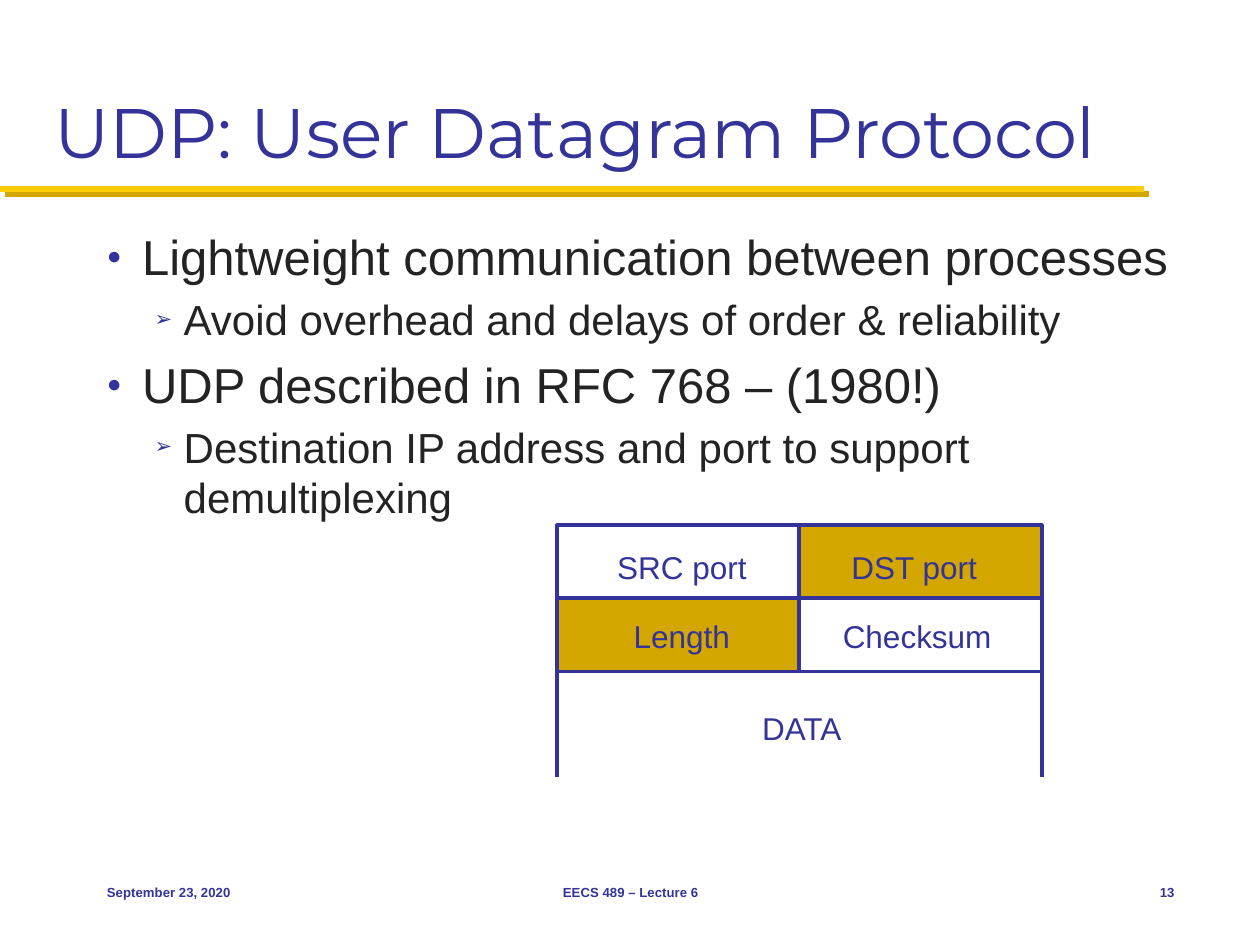
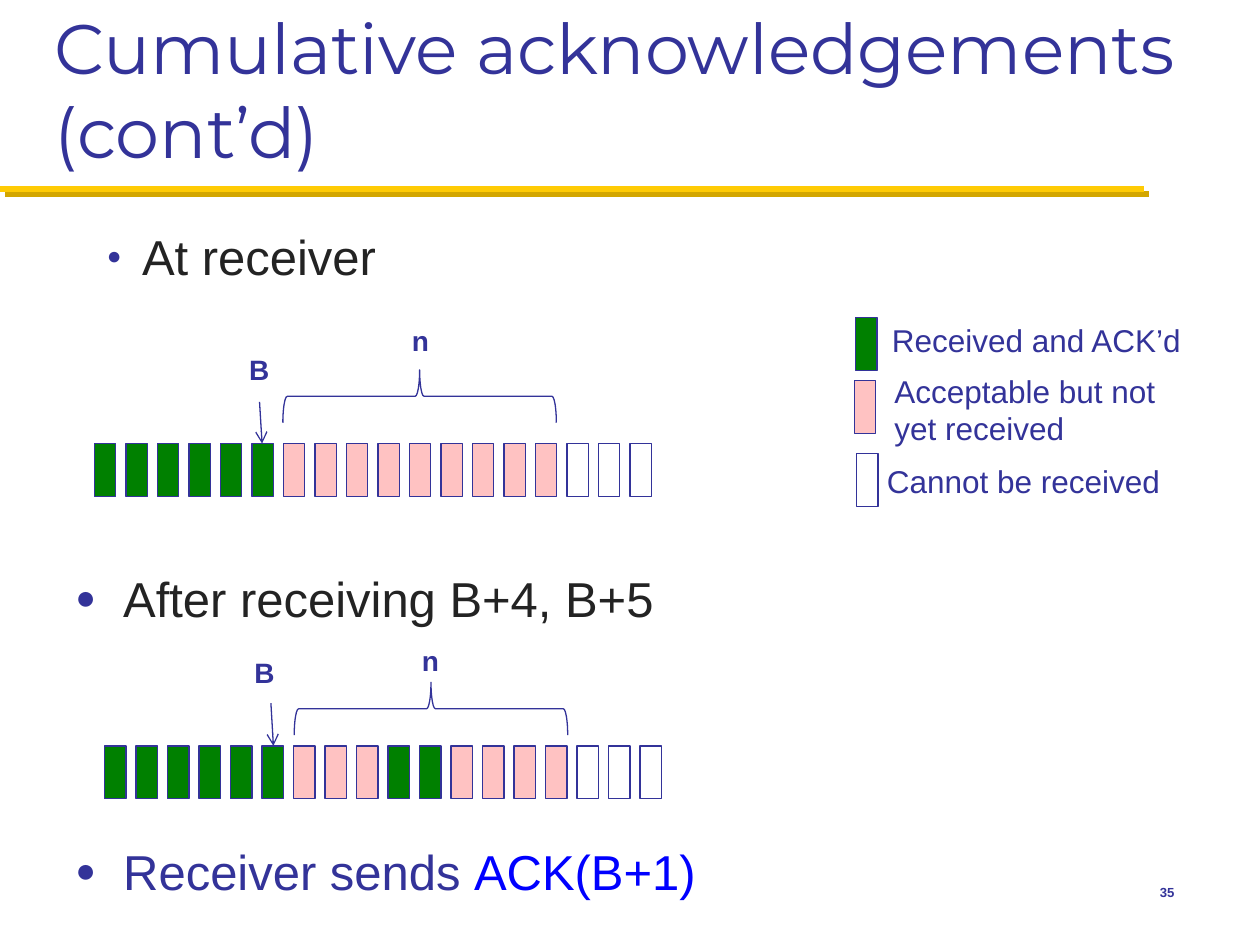
from lxml.etree import SubElement
from pptx import Presentation
from pptx.dml.color import RGBColor
from pptx.enum.shapes import MSO_CONNECTOR, MSO_SHAPE
from pptx.enum.text import MSO_ANCHOR, MSO_AUTO_SIZE, PP_ALIGN
from pptx.oxml.ns import qn
from pptx.util import Inches, Pt

NAVY, INK, BLUE = "333399", "232323", "0000FF"
YELLOW, GOLD = "FFCB05", "D3A600"
GREEN, PINK, WHITE = "008000", "FFC2C2", "FFFFFF"
PACKET_WIDTH, PACKET_HEIGHT, PACKET_STEP = 0.17, 0.42, 0.25
PACKET_FILLS = {"R": GREEN, "A": PINK, "C": WHITE}


def colour(hex_string):
    return RGBColor.from_string(hex_string)


def write(paragraph, text, size=18, color=NAVY, font="Arial", bold=False, align=PP_ALIGN.LEFT):
    paragraph.alignment = align
    run = paragraph.add_run()
    run.text = text
    run.font.size = Pt(size)
    run.font.name = font
    run.font.bold = bold
    run.font.color.rgb = colour(color)


def add_bullet(paragraph, char, indent, hanging, percent):
    properties = paragraph._p.get_or_add_pPr()
    properties.set("marL", str(Inches(indent)))
    properties.set("indent", str(-Inches(hanging)))
    tint = SubElement(properties, qn("a:buClr"))
    SubElement(tint, qn("a:srgbClr"), val=NAVY)
    SubElement(properties, qn("a:buSzPct"), val=str(percent * 1000))
    SubElement(properties, qn("a:buFont"), typeface="Arial")
    SubElement(properties, qn("a:buChar"), char=char)


class Deck:
    """Holds the lecture style and the slide being built."""

    def __init__(self):
        self.presentation = Presentation()
        self.presentation.slide_width = Inches(10)
        self.presentation.slide_height = Inches(7.5)
        self.slide = None

    def start_slide(self, title, number):
        self.slide = self.presentation.slides.add_slide(self.presentation.slide_layouts[5])
        self.line((0.04, 1.54), (9.12, 1.54), GOLD, 3.5)
        self.line((0, 1.5), (9.08, 1.5), YELLOW, 3.5)
        heading = self.slide.shapes.title
        heading.left, heading.top = Inches(0.33), Inches(0.17)
        heading.width, heading.height = Inches(9.33), Inches(1.25)
        frame = heading.text_frame
        frame.auto_size = MSO_AUTO_SIZE.NONE
        frame.vertical_anchor = MSO_ANCHOR.BOTTOM
        write(frame.paragraphs[0], title, size=40, font="Montserrat")
        self.footer(number, 8.75, 0.67, PP_ALIGN.RIGHT)

    def frame(self, left, top, width, height, wrap=True):
        box = self.slide.shapes.add_textbox(Inches(left), Inches(top), Inches(width), Inches(height))
        box.text_frame.word_wrap = wrap
        return box.text_frame

    def label(self, text, left, top, width, height=0.4, wrap=False, **style):
        frame = self.frame(left, top, width, height, wrap)
        for index, row in enumerate(text.split("\n")):
            paragraph = frame.add_paragraph() if index else frame.paragraphs[0]
            write(paragraph, row, **style)
        return frame

    def footer(self, text, left, width, align):
        frame = self.label(text, left, 6.83, width, 0.5, wrap=True, size=7.5, bold=True, align=align)
        frame.vertical_anchor = MSO_ANCHOR.MIDDLE

    def outline(self, items):
        frame = self.frame(0.75, 1.75, 8.67, 4.83)
        for index, (level, text) in enumerate(items):
            paragraph = frame.add_paragraph() if index else frame.paragraphs[0]
            size = 24 if level else 28
            paragraph.space_before = Pt(size * 0.2)
            if level:
                add_bullet(paragraph, "➢", 0.61, 0.23, 50)
            else:
                add_bullet(paragraph, "●", 0.28, 0.28, 50)
            write(paragraph, text, size=size, color=INK)

    def statement(self, top, *parts):
        paragraph = self.frame(0.5, top, 9, 0.62).paragraphs[0]
        paragraph.space_before = Pt(5.6)
        add_bullet(paragraph, "●", 0.38, 0.38, 70)
        for text, color in parts:
            write(paragraph, text, size=28, color=color)

    def shape(self, kind, left, top, width, height, fill=None, weight=0.75):
        shape = self.slide.shapes.add_shape(
            kind, Inches(left), Inches(top), Inches(width), Inches(height))
        shape.shadow.inherit = False
        if fill:
            shape.fill.solid()
            shape.fill.fore_color.rgb = colour(fill)
        else:
            shape.fill.background()
        shape.line.color.rgb = colour(NAVY)
        shape.line.width = Pt(weight)
        return shape

    def line(self, start, end, color=NAVY, weight=0.75, arrow=False):
        line = self.slide.shapes.add_connector(
            MSO_CONNECTOR.STRAIGHT, *(Inches(value) for value in start + end))
        line.line.color.rgb = colour(color)
        line.line.width = Pt(weight)
        if arrow:
            SubElement(line.line._get_or_add_ln(), qn("a:tailEnd"), type="arrow")
        SubElement(line._element.spPr, qn("a:effectLst"))

    def packet(self, state, left, top):
        self.shape(MSO_SHAPE.RECTANGLE, left, top, PACKET_WIDTH, PACKET_HEIGHT, PACKET_FILLS[state])

    def window(self, states, left, top, brace, n_label, b_label, pointer):
        for index, state in enumerate(states):
            self.packet(state, left + index * PACKET_STEP, top)
        self.shape(MSO_SHAPE.LEFT_BRACE, *brace, 0.42, 2.17).rotation = 90
        for text, corner in (("n", n_label), ("B", b_label)):
            self.label(text, *corner, 0.37, 0.44, size=16, bold=True)
        self.line(*pointer, arrow=True)


def build_udp(deck):
    deck.start_slide("UDP: User Datagram Protocol", "13")
    deck.outline([
        (0, "Lightweight communication between processes"),
        (1, "Avoid overhead and delays of order & reliability"),
        (0, "UDP described in RFC 768 – (1980!)"),
        (1, "Destination IP address and port to support demultiplexing"),
    ])
    left, top, field_width, field_height = 4.42, 4.17, 1.925, 0.58
    for row, fills in enumerate([(None, GOLD), (GOLD, None)]):
        for column, fill in enumerate(fills):
            deck.shape(MSO_SHAPE.RECTANGLE, left + column * field_width, top + row * field_height,
                       field_width, field_height, fill, 2.25)
    for side in (left, left + 2 * field_width):
        deck.line((side, 5.33), (side, 6.17), weight=2.25)
    for text, x, y, width in [
        (" SRC port", 4.73, 4.3, 1.42),
        (" DST port", 6.59, 4.3, 1.42),
        ("Length", 4.93, 4.85, 1.03),
        ("Checksum", 6.59, 4.85, 1.42),
        ("DATA", 5.95, 5.58, 0.92),
    ]:
        deck.label(text, x, y, width, wrap=True)
    deck.footer("September 23, 2020", 0.75, 2.08, PP_ALIGN.LEFT)
    deck.footer("EECS 489 – Lecture 6", 3.42, 3.17, PP_ALIGN.CENTER)


def build_acknowledgements(deck):
    deck.start_slide("Cumulative acknowledgements (cont’d)", "35")
    deck.outline([(0, "At receiver")])
    deck.window("RRRRRRAAAAAAAAACCC", 0.75, 3.52, brace=(3.12, 2.06), n_label=(3.17, 2.52),
                b_label=(1.88, 2.75), pointer=((2.06, 3.19), (2.08, 3.52)))
    for state, packet_corner, text, text_box in [
        ("R", (6.79, 2.52), "Received and ACK’d", (6.98, 2.5, 2.52, 0.4)),
        ("A", (6.78, 3.02), "Acceptable but not\nyet received", (7, 2.9, 2.31, 0.71)),
        ("C", (6.8, 3.6), "Cannot be received", (6.94, 3.62, 2.39, 0.4)),
    ]:
        deck.packet(state, *packet_corner)
        deck.label(text, *text_box)
    deck.statement(4.46, ("After receiving B+4, B+5", INK))
    deck.window("RRRRRRAAARRAAAACCC", 0.83, 5.92, brace=(3.21, 4.54), n_label=(3.25, 5.06),
                b_label=(1.92, 5.15), pointer=((2.15, 5.58), (2.17, 5.92)))
    deck.statement(6.63, ("Receiver sends ", NAVY), ("ACK(B+1)", BLUE))


def main():
    deck = Deck()
    build_udp(deck)
    build_acknowledgements(deck)
    deck.presentation.save("out.pptx")


if __name__ == "__main__":
    main()
